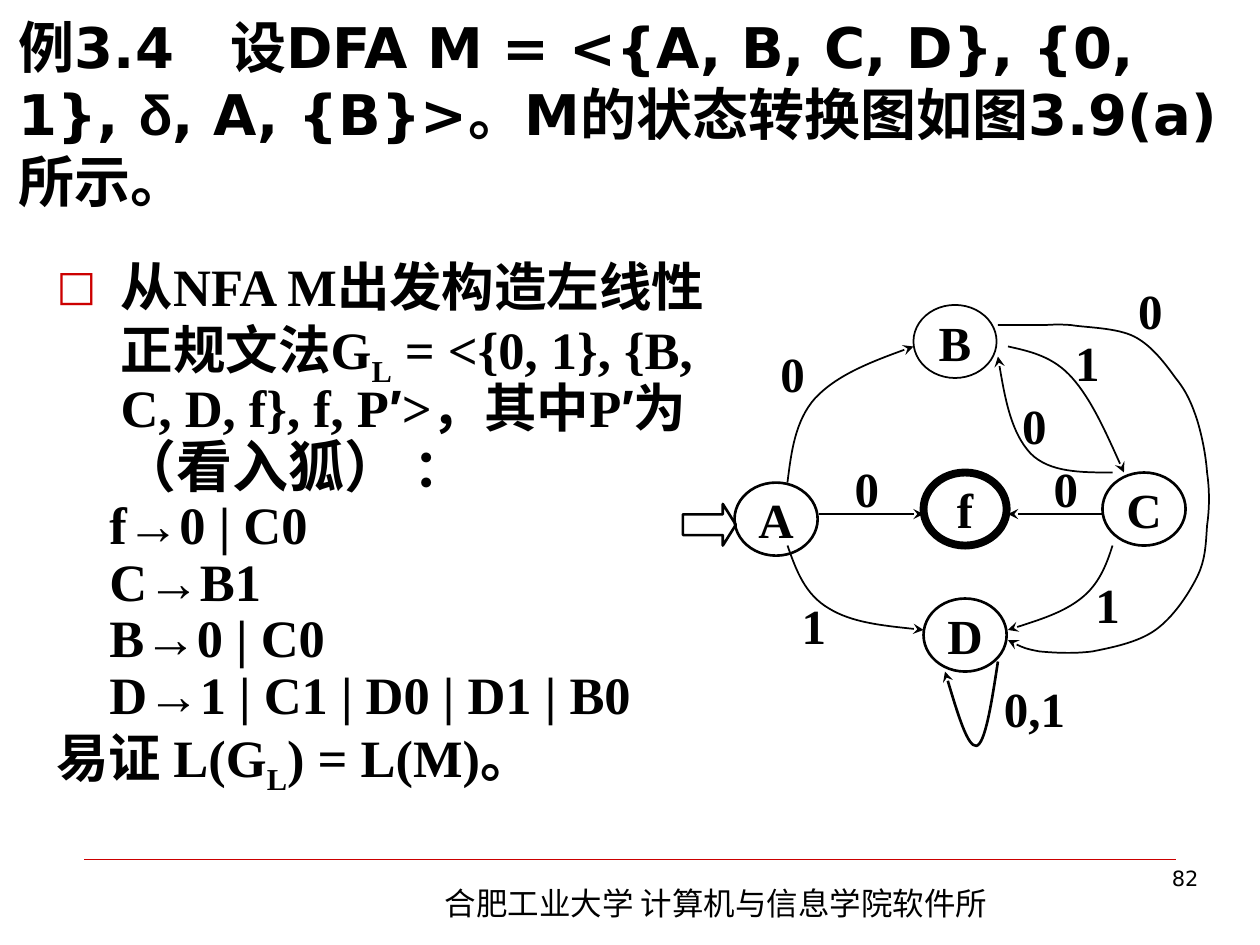
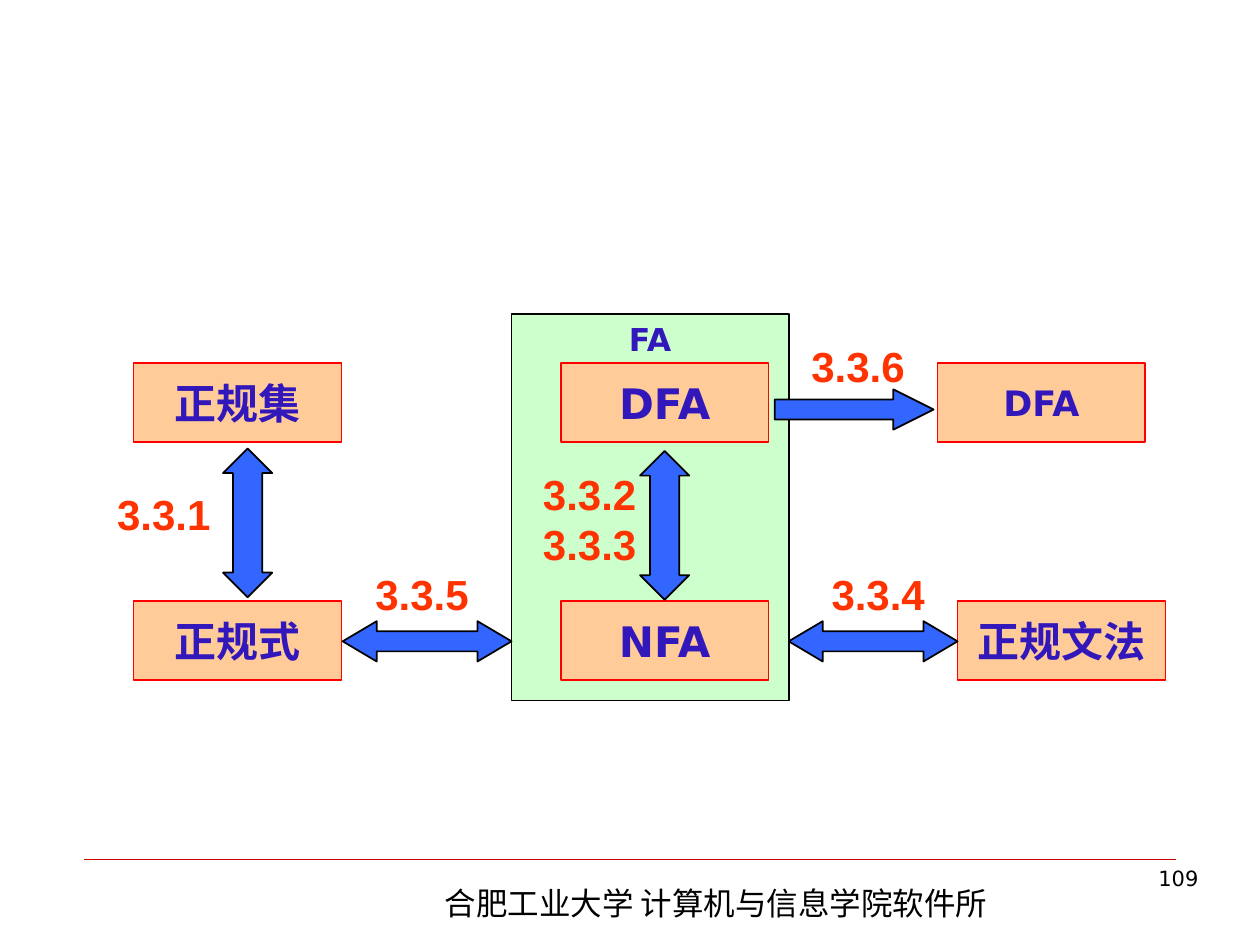
"""Builds two lecture slides on finite automata and regular grammars."""
from typing import NamedTuple

from lxml import etree
from pptx import Presentation
from pptx import util as u
from pptx.dml.color import RGBColor
from pptx.enum import shapes, text
from pptx.oxml import ns

SANS, SERIF, ARIAL, HAN = "DejaVu Sans", "Times New Roman", "Arial", "Noto Sans CJK SC"
BLACK, RED, EDGE, BLUE = "000000", "CC0000", "FF0000", "3366FF"
PEACH, MINT, INDIGO, ORANGE = "FFCC99", "CCFFCC", "3217BB", "FF3300"
KIND, ALIGN, ANCHOR = shapes.MSO_SHAPE, text.PP_ALIGN, text.MSO_ANCHOR


class Style(NamedTuple):
    font: str
    size: int
    color: str = BLACK
    bold: bool = True
    align: int = ALIGN.CENTER


class Bit(NamedTuple):
    text: str
    font: str = SERIF
    size: int = 30
    base: int = 0


class Line(NamedTuple):
    bits: tuple
    left: float
    hang: float


class Area(NamedTuple):
    x: float
    y: float
    w: float
    h: float


class Node(NamedTuple):
    name: str
    x: float
    y: float
    width: float = 1.5


class Label(NamedTuple):
    text: str
    x: float
    y: float


class Box(NamedTuple):
    name: str
    x: float
    y: float
    size: int = 24


class Arrow(NamedTuple):
    kind: int
    area: Area
    head: float


STATE = Style(SERIF, 28)
HEAD = Style(SANS, 32, align=ALIGN.LEFT)
BODY = Style(SERIF, 30, align=ALIGN.LEFT)
FOOT = Style(HAN, 18, bold=False, align=ALIGN.LEFT)
PAGE = Style(SANS, 12, bold=False, align=ALIGN.RIGHT)
REF = Style(ARIAL, 24, ORANGE)

TITLE = (
    Bit("例3.4　设DFA M = <{A, B, C, D}, {0, 1}, ", SANS, 32),
    Bit("δ", ARIAL, 32),
    Bit(", A, {B}>。M的状态转换图如图3.9(a)所示。", SANS, 32),
)
INTRO = (
    Bit("从NFA M出发构造左线性正规文法G"), Bit("L", base=-25),
    Bit(" = <{0, 1}, {B, C, D, f}, f, P"), Bit("′", ARIAL),
    Bit(">，其中P"), Bit("′", ARIAL), Bit("为"),
    Bit("（看入狐） ", size=32), Bit("："),
)
RULES = ("f→0 | C0", "C→B1", "B→0 | C0", "D→1 | C1 | D0 | D1 | B0")
PROOF = (Bit("易证 L(G"), Bit("L", base=-25), Bit(") = L(M)。"))
LINES = (
    Line(INTRO, 0.51, -0.51),
    *(Line((Bit(rule),), 0.9, -0.48) for rule in RULES),
    Line(PROOF, 0.51, -0.51),
)

NODES = (
    Node("A", 5.83, 3.83), Node("B", 7.25, 2.42, 1), Node("C", 8.75, 3.75),
    Node("D", 7.33, 4.75), Node("f", 7.33, 3.75, 4.5),
)
INPUTS = (
    Label("1", 8.17, 2.58), Label("0", 5.83, 2.67), Label("0,1", 7.75, 5.33),
    Label("1", 6, 4.67), Label("1", 8.33, 4.5), Label("0", 7.75, 3.08),
    Label("0", 8.67, 2.17), Label("0", 6.42, 3.58), Label("0", 8, 3.58),
)
LOOP = ((7.92, 5.25), (7.87, 5.58), (7.82, 5.9), (7.75, 5.92),
        (7.68, 5.93), (7.59, 5.63), (7.5, 5.33))
CURVES = (
    ((6.25, 3.83), (6.28, 3.59), (6.31, 3.34), (6.47, 3.16),
     (6.64, 2.98), (6.94, 2.86), (7.25, 2.75)),
    ((6.25, 4.33), (6.32, 4.53), (6.39, 4.72), (6.58, 4.83),
     (6.76, 4.94), (7.04, 4.97), (7.33, 5)),
    ((8.83, 3.75), (8.58, 3.75), (8.33, 3.75), (8.18, 3.6),
     (8.03, 3.44), (7.97, 3.14), (7.92, 2.83)),
    ((8, 2.75), (8.18, 2.79), (8.36, 2.83), (8.51, 3),
     (8.66, 3.17), (8.79, 3.46), (8.92, 3.75)),
    ((8.83, 4.33), (8.78, 4.49), (8.72, 4.64), (8.58, 4.75),
     (8.44, 4.86), (8.22, 4.93), (8, 5)),
    ((7.92, 2.58), (8.03, 2.58), (8.15, 2.58), (8.25, 2.58),
     (8.35, 2.58), (8.37, 2.57), (8.5, 2.58), (8.62, 2.6), (8.86, 2.6), (9, 2.67),
     (9.14, 2.74), (9.25, 2.89), (9.33, 3), (9.42, 3.11), (9.46, 3.21), (9.5, 3.33),
     (9.54, 3.46), (9.57, 3.61), (9.58, 3.75), (9.6, 3.89), (9.6, 4.03), (9.58, 4.17),
     (9.57, 4.31), (9.57, 4.44), (9.5, 4.58), (9.43, 4.72), (9.31, 4.9), (9.17, 5),
     (9.03, 5.1), (8.82, 5.14), (8.67, 5.17), (8.51, 5.19), (8.36, 5.18), (8.25, 5.17),
     (8.14, 5.15), (8.07, 5.12), (8, 5.08)),
)

TOP, LOW = 2.88, 4.77
BOXES = (
    Box("正规集", 1.06, TOP), Box("正规式", 1.06, LOW),
    Box("DFA", 4.45, TOP), Box("NFA", 4.45, LOW),
    Box("正规文法", 7.6, LOW), Box("DFA", 7.44, TOP, 20),
)
ARROWS = (
    Arrow(KIND.LEFT_RIGHT_ARROW, Area(2.72, 4.93, 1.34, 0.32), 0.844),
    Arrow(KIND.LEFT_RIGHT_ARROW, Area(6.26, 4.93, 1.34, 0.32), 0.844),
    Arrow(KIND.UP_DOWN_ARROW, Area(1.77, 3.56, 0.39, 1.18), 0.597),
    Arrow(KIND.UP_DOWN_ARROW, Area(5.08, 3.58, 0.39, 1.18), 0.597),
    Arrow(KIND.RIGHT_ARROW, Area(6.15, 3.09, 1.26, 0.32), 0.998),
)
REFS = (
    Label("3.3.1", 0.83, 3.83), Label("3.3.2\n3.3.3", 4.21, 3.67),
    Label("3.3.4", 6.5, 4.46), Label("3.3.5", 2.88, 4.46), Label("3.3.6", 6.34, 2.65),
)


def tint(color: str) -> RGBColor:
    """Turn a hex string into a colour."""
    return RGBColor.from_string(color)


def sub(parent, tag: str, **attrs: str):
    """Append a drawing element."""
    return etree.SubElement(parent, ns.qn(tag), attrs)


def dress(run, style: Style) -> None:
    """Give a run its font, including the one for Chinese."""
    font = run.font
    font.size, font.bold, font.name = u.Pt(style.size), style.bold, style.font
    font.color.rgb = tint(style.color)
    sub(run._r.get_or_add_rPr(), "a:ea", typeface=HAN)


def write(frame, words: str, style: Style, anchor=ANCHOR.TOP, wrap: bool = False) -> None:
    """Fill a frame with text in one style."""
    frame.text = words
    frame.word_wrap, frame.vertical_anchor = wrap, anchor
    for par in frame.paragraphs:
        par.alignment = style.align
        for run in par.runs:
            dress(run, style)


def fill(par, bits: tuple, style: Style) -> None:
    """Add differently set bits of text to a paragraph."""
    par.alignment = style.align
    for bit in bits:
        run = par.add_run()
        run.text = bit.text
        dress(run, style._replace(font=bit.font, size=bit.size))
        if bit.base:
            run._r.get_or_add_rPr().set("baseline", str(bit.base * 1000))


def place(area: Area) -> tuple:
    """Convert an area to lengths."""
    return tuple(u.Inches(side) for side in area)


def note(slide, area: Area, words: str, style: Style, anchor=ANCHOR.TOP,
         wrap: bool = False) -> None:
    """Add a text box."""
    write(slide.shapes.add_textbox(*place(area)).text_frame, words, style, anchor, wrap)


def outline(shape, color: str | None, edge: str, width: float) -> None:
    """Set a shape's fill and edge."""
    shape.shadow.inherit = False
    if color:
        shape.fill.solid()
        shape.fill.fore_color.rgb = tint(color)
    else:
        shape.fill.background()
    shape.line.color.rgb, shape.line.width = tint(edge), u.Pt(width)


def form(slide, kind: int, area: Area, color: str | None, edge: str = BLACK,
         width: float = 1):
    """Add a preset shape."""
    shape = slide.shapes.add_shape(kind, *place(area))
    outline(shape, color, edge, width)
    return shape


def point(shape) -> None:
    """Put an arrowhead at the end of a line."""
    sub(shape._element.spPr.find(ns.qn("a:ln")), "a:tailEnd", type="stealth")


def rule(slide, start: tuple, end: tuple, color: str = BLACK, width: float = 1):
    """Add a straight line."""
    ends = (u.Inches(value) for value in (*start, *end))
    line = slide.shapes.add_connector(shapes.MSO_CONNECTOR.STRAIGHT, *ends)
    line.line.color.rgb, line.line.width = tint(color), u.Pt(width)
    sub(line._element.spPr, "a:effectLst")
    return line


def curve(slide, dots: tuple, width: float = 1) -> None:
    """Add a curved arrow through Bezier points."""
    first, *rest = [(u.Inches(x), u.Inches(y)) for x, y in dots]
    maker = slide.shapes.build_freeform(*first)
    maker.add_line_segments(rest, close=False)
    shape = maker.convert_to_shape()
    steps = list(shape._element.iter(ns.qn("a:lnTo")))
    for i in range(0, len(steps), 3):
        bend = sub(steps[i].getparent(), "a:cubicBezTo")
        for step in steps[i:i + 3]:
            bend.append(step[0])
            step.getparent().remove(step)
    outline(shape, None, BLACK, width)
    point(shape)


def footer(slide, page: int) -> None:
    """Draw the rule, the institute and the page number."""
    rule(slide, (0.67, 6.82), (9.33, 6.82), RED, 0.25)
    note(slide, Area(3.43, 6.97, 4.72, 0.4), "合肥工业大学 计算机与信息学院软件所", FOOT, wrap=True)
    note(slide, Area(7.44, 6.82, 2.17, 0.52), str(page), PAGE, wrap=True)


def grammar(slide) -> None:
    """Write the grammar built from the automaton."""
    frame = slide.shapes.add_textbox(*place(Area(0.35, 2.02, 5.51, 4.75))).text_frame
    frame.word_wrap = True
    for i, line in enumerate(LINES):
        par = frame.add_paragraph() if i else frame.paragraphs[0]
        props = par._p.get_or_add_pPr()
        props.set("marL", str(u.Inches(line.left)))
        props.set("indent", str(u.Inches(line.hang)))
        if i == 0:
            sub(sub(props, "a:buClr"), "a:srgbClr", val=RED)
            sub(props, "a:buSzPct", val="80000")
            sub(props, "a:buFont", typeface=SANS)
            sub(props, "a:buChar", char="□")
        par.line_spacing = 0.9
        fill(par, line.bits, BODY)


def machine(slide) -> None:
    """Draw the state diagram."""
    for node in NODES:
        area = Area(node.x, node.y, 0.66, 0.58)
        shape = form(slide, KIND.OVAL, area, None, width=node.width)
        write(shape.text_frame, node.name, STATE, ANCHOR.MIDDLE)
    for label in INPUTS:
        note(slide, Area(label.x, label.y, 0.92, 0.58), label.text, STATE, ANCHOR.MIDDLE)
    curve(slide, LOOP, 1.5)
    for dots in CURVES:
        curve(slide, dots)
    for start, end in ((6.5, 7.33), (8.75, 8)):
        point(rule(slide, (start, 4.08), (end, 4.08)))
    entry = form(slide, KIND.RIGHT_ARROW, Area(5.42, 4, 0.42, 0.33), None, width=1.5)
    entry.adjustments[1] = 0.313


def example(deck) -> None:
    """Build the slide with the worked example."""
    slide = deck.slides.add_slide(deck.slide_layouts[5])
    footer(slide, 82)
    title = slide.shapes.title
    title.left, title.top, title.width, title.height = place(Area(0.05, 0.5, 9.75, 1.25))
    frame = title.text_frame
    frame.auto_size, frame.vertical_anchor = text.MSO_AUTO_SIZE.NONE, ANCHOR.BOTTOM
    fill(frame.paragraphs[0], TITLE, HEAD)
    grammar(slide)
    machine(slide)


def summary(deck) -> None:
    """Build the slide relating the formalisms."""
    slide = deck.slides.add_slide(deck.slide_layouts[6])
    footer(slide, 109)
    group = form(slide, KIND.RECTANGLE, Area(4.06, 2.49, 2.2, 3.07), MINT)
    write(group.text_frame, "FA", Style(SANS, 18, INDIGO))
    for box in BOXES:
        shape = form(slide, KIND.RECTANGLE, Area(box.x, box.y, 1.65, 0.63), PEACH, EDGE)
        write(shape.text_frame, box.name, Style(SANS, box.size, INDIGO), ANCHOR.MIDDLE)
    for arrow in ARROWS:
        shape = form(slide, arrow.kind, arrow.area, BLUE)
        shape.adjustments[0], shape.adjustments[1] = 0.5, arrow.head
    for ref in REFS:
        height = 0.1 + 0.4 * len(ref.text.split("\n"))
        note(slide, Area(ref.x, ref.y, 0.94, height), ref.text, REF)


def main() -> None:
    """Build and save the deck."""
    deck = Presentation()
    deck.slide_width, deck.slide_height = u.Inches(10), u.Inches(7.5)
    example(deck)
    summary(deck)
    deck.save("out.pptx")


if __name__ == "__main__":
    main()
